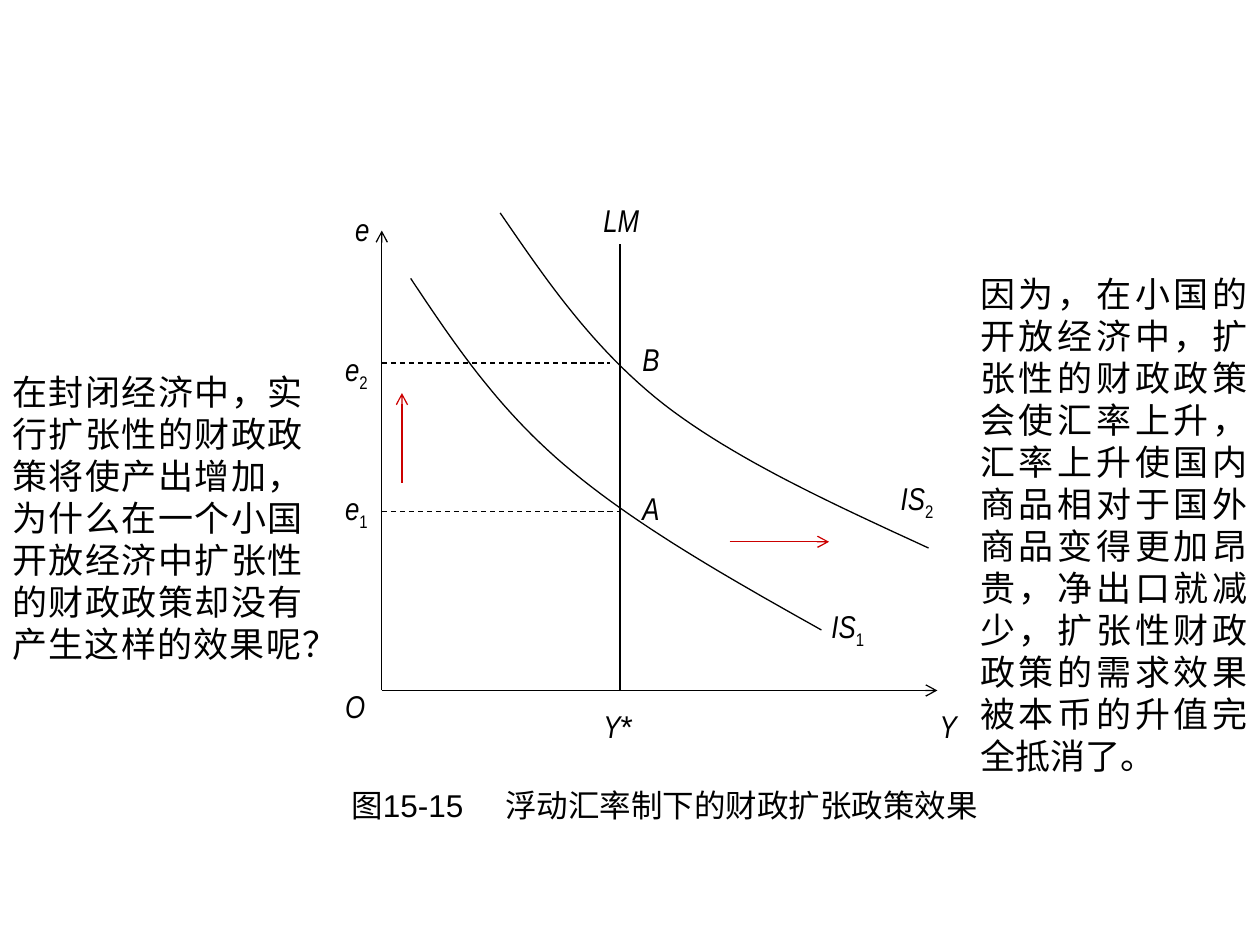
from pptx import Presentation
from pptx.dml.color import RGBColor as RGB
from pptx.enum.dml import MSO_LINE_DASH_STYLE as Dash
from pptx.enum.shapes import MSO_CONNECTOR as Connector
from pptx.enum.text import MSO_AUTO_SIZE as AutoSize, PP_ALIGN as Align
from pptx.oxml.ns import qn
from pptx.util import Inches, Pt
from lxml.etree import SubElement

THEME = {
    "ink": RGB(0, 0, 0), "shift": RGB(0xCC, 0, 0), "line": Pt(0.75),
    "label": Pt(18), "body": Pt(20), "font": "Arial", "narrow": "Arial Narrow",
}

# Diagram levels: axes, output Y*, exchange rates e1 and e2
ORIGIN_X, ORIGIN_Y, OUTPUT_X, RATE_1, RATE_2 = 3.03, 5.48, 4.92, 4.06, 2.88

# start, end, colour, dashed, arrow
LINES = [
    ((ORIGIN_X, ORIGIN_Y), (7.44, ORIGIN_Y), "ink", False, True),
    ((ORIGIN_X, ORIGIN_Y), (ORIGIN_X, 1.83), "ink", False, True),
    ((OUTPUT_X, 1.94), (OUTPUT_X, ORIGIN_Y), "ink", False, False),
    ((ORIGIN_X, RATE_2), (4.84, RATE_2), "ink", True, False),
    ((ORIGIN_X, RATE_1), (OUTPUT_X, RATE_1), "ink", True, False),
    ((3.19, 3.83), (3.19, 3.12), "shift", False, True),
    ((5.79, 4.3), (6.58, 4.3), "shift", False, True),
]

# IS curves as chained cubic Bezier points
CURVES = [
    [(3.26, 2.21), (3.6, 2.72), (3.94, 3.23), (4.48, 3.69),
     (5.03, 4.16), (5.77, 4.58), (6.52, 5)],
    [(3.97, 1.69), (4.34, 2.23), (4.71, 2.77), (5.27, 3.21),
     (5.84, 3.65), (6.61, 4), (7.37, 4.35)],
]

# left, top, width, italic symbol, subscript
LABELS = [
    (2.64, 5.4, 0.47, "O", ""), (7.36, 5.56, 0.71, "Y", ""),
    (4.69, 5.56, 0.71, "Y", "*"),
    (5, 2.65, 0.39, "B", ""), (5, 3.83, 0.39, "A", ""),
    (4.69, 1.55, 0.63, "LM", ""), (2.72, 1.62, 0.39, "e", ""),
    (2.64, 3.83, 0.55, "e", "1"), (2.64, 2.73, 0.55, "e", "2"),
    (6.5, 4.77, 0.63, "IS", "1"), (7.05, 3.75, 0.63, "IS", "2"),
]

CAPTION = "图15-15\t浮动汇率制下的财政扩张政策效果"
CAPTION_TAB = 1.22

# left, top, width, height, text
NOTES = [
    (7.68, 2.11, 2.32, 4.1,
     "因为，在小国的开放经济中，扩张性的财政政策会使汇率上升，汇率上升使国内商品"
     "相对于国外商品变得更加昂贵，净出口就减少，扩张性财政政策的需求效果被本币的"
     "升值完全抵消了。"),
    (0, 2.89, 2.5, 2.44,
     "在封闭经济中，实行扩张性的财政政策将使产出增加，为什么在一个小国开放经济中"
     "扩张性的财政政策却没有产生这样的效果呢？"),
]


def add_line(slide, start, end, colour, dashed, arrow):
    points = [Inches(value) for value in (*start, *end)]
    line = slide.shapes.add_connector(Connector.STRAIGHT, *points)
    line.line.color.rgb = THEME[colour]
    line.line.width = THEME["line"]
    if dashed:
        line.line.dash_style = Dash.DASH
    if arrow:
        SubElement(line.line._get_or_add_ln(), qn("a:tailEnd"), type="arrow")
    SubElement(line._element.spPr, qn("a:effectLst"))


def bezier_point(corners, t):
    weights = ((1 - t) ** 3, 3 * t * (1 - t) ** 2, 3 * t ** 2 * (1 - t), t ** 3)
    return tuple(Inches(sum(w * corner[axis] for w, corner in zip(weights, corners)))
                 for axis in (0, 1))


def add_curve(slide, points, steps=24):
    samples = [bezier_point(points[first:first + 4], step / steps)
               for first in range(0, len(points) - 1, 3)
               for step in range(1, steps + 1)]
    start = bezier_point(points[:4], 0)
    builder = slide.shapes.build_freeform(*start)
    builder.add_line_segments(samples, close=False)
    curve = builder.convert_to_shape()
    curve.shadow.inherit = False
    curve.fill.background()
    curve.line.color.rgb = THEME["ink"]
    curve.line.width = THEME["line"]


def add_box(slide, *place):
    box = slide.shapes.add_textbox(*(Inches(value) for value in place))
    box.text_frame.word_wrap = True
    box.text_frame.auto_size = AutoSize.SHAPE_TO_FIT_TEXT
    return box.text_frame.paragraphs[0]


def add_span(para, text, size="label", font="font", italic=False):
    span = para.add_run()
    span.text = text
    formats = {"size": THEME[size], "name": THEME[font], "italic": italic}
    for name, value in formats.items():
        setattr(span.font, name, value)
    span.font.color.rgb = THEME["ink"]
    return span


def add_label(slide, left, top, width, symbol, suffix):
    para = add_box(slide, left, top, width, 0.4)
    add_span(para, symbol, font="narrow", italic=True)
    if suffix == "*":
        add_span(para, suffix)
    elif suffix:
        span = add_span(para, suffix, font="narrow")
        span.font._element.set("baseline", "-25000")


def main():
    deck = Presentation()
    deck.slide_width, deck.slide_height = Inches(10), Inches(7.5)
    slide = deck.slides.add_slide(deck.slide_layouts[6])

    # Axes, guides and shift arrows
    for line in LINES:
        add_line(slide, *line)

    # IS curves and their labels
    for points in CURVES:
        add_curve(slide, points)
    for label in LABELS:
        add_label(slide, *label)

    # Figure caption, with a tab between number and title
    para = add_box(slide, 2.69, 6.19, 6.8, 0.4)
    tabs = SubElement(para._p.get_or_add_pPr(), qn("a:tabLst"))
    SubElement(tabs, qn("a:tab"), pos=str(Inches(CAPTION_TAB)), algn="l")
    add_span(para, CAPTION)

    # Question on the left, answer on the right
    for *place, text in NOTES:
        para = add_box(slide, *place)
        para.alignment = Align.JUSTIFY
        add_span(para, text, size="body")

    deck.save("out.pptx")


if __name__ == "__main__":
    main()
